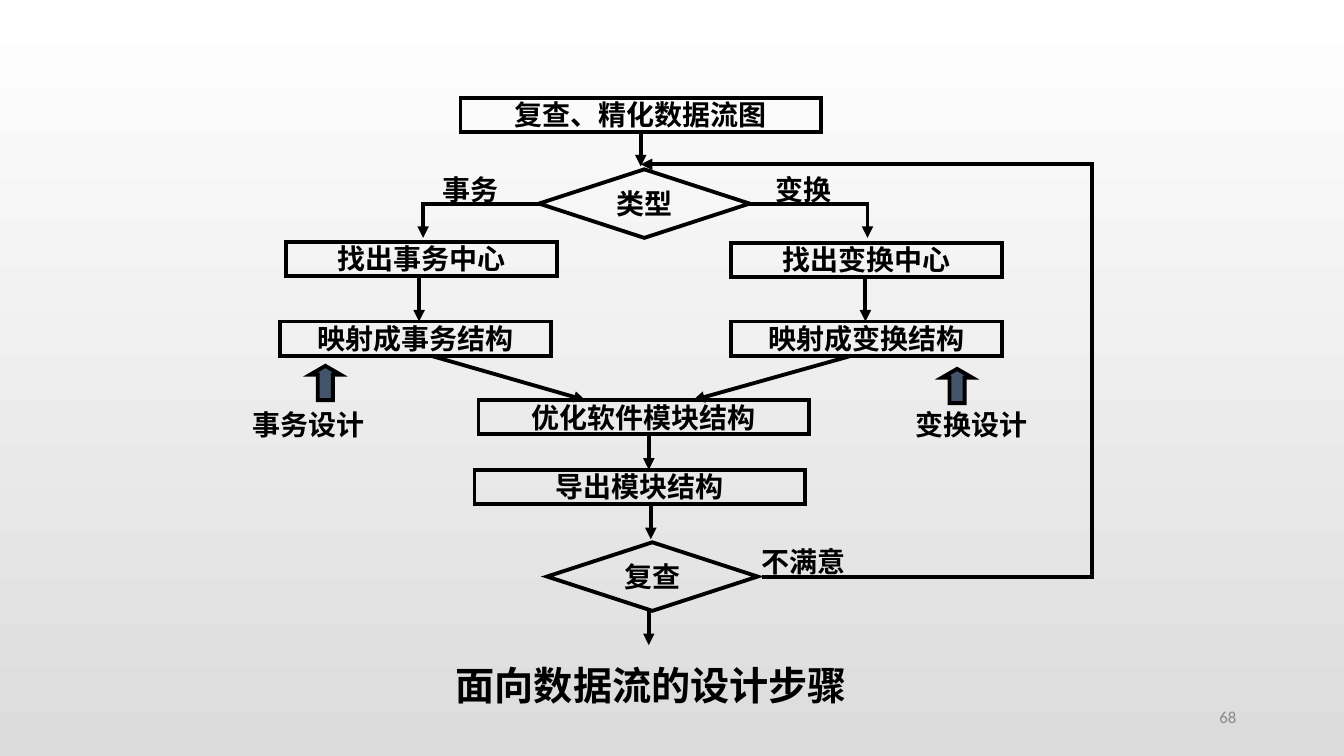
from dataclasses import dataclass

from lxml import etree
from pptx import Presentation
from pptx.dml.color import RGBColor
from pptx.enum.shapes import MSO_CONNECTOR, MSO_SHAPE
from pptx.enum.text import MSO_ANCHOR as Anchor, PP_ALIGN as Align
from pptx.oxml.ns import qn
from pptx.util import Inches, Pt

COLORS = {"ink": "000000", "arrow": "44546A", "page": "898989", "top": "FFFFFF", "bottom": "DCDCDC"}
LINE_WIDTH = 2.75
ROW_HEIGHT = 0.34
ARROW_WIDTH = 0.3
DIAMOND_WIDTH, DIAMOND_HEIGHT = 2.09, 0.68
SIDE_WIDTH, MIDDLE_WIDTH = 2.69, 3.28

Point = tuple[float, float]


@dataclass
class Node:
    text: str
    left: float
    top: float
    width: float
    height: float = ROW_HEIGHT
    kind: MSO_SHAPE = MSO_SHAPE.RECTANGLE


@dataclass
class Label:
    text: str
    left: float
    top: float
    width: float
    align: Align = Align.CENTER
    size: float = 20


def decision(text: str, left: float, top: float) -> Node:
    """Describe a decision diamond."""
    return Node(text, left, top, DIAMOND_WIDTH, DIAMOND_HEIGHT, MSO_SHAPE.FLOWCHART_DECISION)


NODES = [
    Node("复查、精化数据流图", 4.57, 0.97, 3.58),
    decision("类型", 5.35, 1.68),
    Node("找出事务中心", 2.84, 2.4, SIDE_WIDTH),
    Node("找出变换中心", 7.26, 2.41, SIDE_WIDTH),
    Node("映射成事务结构", 2.78, 3.19, SIDE_WIDTH),
    Node("映射成变换结构", 7.26, 3.19, SIDE_WIDTH),
    Node("优化软件模块结构", 4.75, 3.97, MIDDLE_WIDTH),
    Node("导出模块结构", 4.71, 4.66, MIDDLE_WIDTH),
    decision("复查", 5.43, 5.38),
]
STRAIGHT_ARROWS: list[tuple[Point, Point]] = [
    ((6.36, 1.31), (6.36, 1.65)),
    ((4.16, 2.74), (4.16, 3.19)),
    ((8.59, 2.74), (8.59, 3.19)),
    ((6.44, 4.32), (6.44, 4.66)),
    ((6.46, 5.01), (6.46, 5.35)),
    ((6.44, 6.06), (6.44, 6.4)),
    ((4.28, 3.53), (5.81, 3.97)),
    ((8.45, 3.53), (6.88, 3.97)),
]
BENT_ARROWS: list[list[Point]] = [
    [(7.42, 2.02), (8.61, 2.02), (8.61, 2.36)],
    [(5.39, 2.02), (4.2, 2.02), (4.2, 2.36)],
    [(7.56, 5.72), (10.84, 5.72), (10.84, 1.63), (6.36, 1.63)],
]
LABELS = [
    Label("不满意", 7.56, 5.4, 1.49, Align.JUSTIFY),
    Label("变换", 7.7, 1.71, 1.49, Align.JUSTIFY),
    Label("事务", 4.39, 1.71, 1.49, Align.JUSTIFY),
    Label("变换设计", 8.75, 4.04, 1.79),
    Label("事务设计", 2.17, 4.04, 1.79),
    Label("面向数据流的设计步骤", 4.08, 6.56, 4.77, size=28),
]
BLOCK_ARROWS: list[Point] = [(3.08, 3.63), (9.35, 3.66)]


def rgb(name: str) -> RGBColor:
    """Return a palette colour."""
    return RGBColor.from_string(COLORS[name])


def style_line(line) -> None:
    """Apply the common outline with sharp corners."""
    line.color.rgb = rgb("ink")
    line.width = Pt(LINE_WIDTH)
    etree.SubElement(line._get_or_add_ln(), qn("a:miter"), lim="800000")


def add_head(line) -> None:
    """Put a triangle at the end of a line."""
    etree.SubElement(line._get_or_add_ln(), qn("a:tailEnd"), type="triangle")


def write(shape, text: str, size: float = 20, align: Align = Align.CENTER) -> None:
    """Write bold text from the top of a shape without margins."""
    frame = shape.text_frame
    frame.text = text
    frame.word_wrap = True
    frame.vertical_anchor = Anchor.TOP
    frame.margin_left = frame.margin_right = frame.margin_top = frame.margin_bottom = 0
    paragraph = frame.paragraphs[0]
    paragraph.alignment = align
    font = paragraph.runs[0].font
    font.name, font.size, font.bold = "Times New Roman", Pt(size), True
    font.color.rgb = rgb("ink")


def add_node(slide, node: Node) -> None:
    """Draw one step or decision."""
    shape = slide.shapes.add_shape(
        node.kind, Inches(node.left), Inches(node.top), Inches(node.width), Inches(node.height)
    )
    shape.shadow.inherit = False
    shape.fill.background()
    style_line(shape.line)
    write(shape, node.text)


def add_straight_arrow(slide, start: Point, end: Point) -> None:
    """Draw a straight arrow."""
    connector = slide.shapes.add_connector(
        MSO_CONNECTOR.STRAIGHT, *(Inches(value) for value in start + end)
    )
    style_line(connector.line)
    add_head(connector.line)
    etree.SubElement(connector._element.spPr, qn("a:effectLst"))


def add_bent_arrow(slide, points: list[Point]) -> None:
    """Draw an arrow through several corners."""
    start, *corners = [(Inches(x), Inches(y)) for x, y in points]
    builder = slide.shapes.build_freeform(*start)
    builder.add_line_segments(corners, close=False)
    shape = builder.convert_to_shape()
    shape.shadow.inherit = False
    shape.fill.background()
    style_line(shape.line)
    add_head(shape.line)


def add_block_arrow(slide, left: float, top: float) -> None:
    """Draw a filled arrow pointing up."""
    shape = slide.shapes.add_shape(
        MSO_SHAPE.UP_ARROW, Inches(left), Inches(top), Inches(ARROW_WIDTH), Inches(ROW_HEIGHT)
    )
    shape.adjustments[0], shape.adjustments[1] = 0.5, 0.29
    shape.shadow.inherit = False
    shape.fill.solid()
    shape.fill.fore_color.rgb = rgb("arrow")
    style_line(shape.line)


def add_label(slide, label: Label) -> None:
    """Draw free text."""
    box = slide.shapes.add_textbox(
        Inches(label.left), Inches(label.top), Inches(label.width), Inches(ROW_HEIGHT)
    )
    write(box, label.text, label.size, label.align)


def add_page_number(slide, number: str) -> None:
    """Draw the page number."""
    box = slide.shapes.add_textbox(Inches(9.42), Inches(6.94), Inches(2.95), Inches(0.35))
    frame = box.text_frame
    frame.text = number
    frame.word_wrap = True
    frame.vertical_anchor = Anchor.MIDDLE
    paragraph = frame.paragraphs[0]
    paragraph.alignment = Align.RIGHT
    font = paragraph.runs[0].font
    font.name, font.size = "Calibri", Pt(12)
    font.color.rgb = rgb("page")


def main() -> None:
    """Build the slide."""
    presentation = Presentation()
    presentation.slide_width, presentation.slide_height = Inches(13.34), Inches(7.5)
    slide = presentation.slides.add_slide(presentation.slide_layouts[6])
    background = slide.background.fill
    background.gradient()
    background.gradient_angle = 270
    for stop, name in zip(background.gradient_stops, ("top", "bottom")):
        stop.color.rgb = rgb(name)
    for node in NODES:
        add_node(slide, node)
    for start, end in STRAIGHT_ARROWS:
        add_straight_arrow(slide, start, end)
    for points in BENT_ARROWS:
        add_bent_arrow(slide, points)
    for label in LABELS:
        add_label(slide, label)
    for left, top in BLOCK_ARROWS:
        add_block_arrow(slide, left, top)
    add_page_number(slide, "68")
    presentation.save("out.pptx")


if __name__ == "__main__":
    main()
